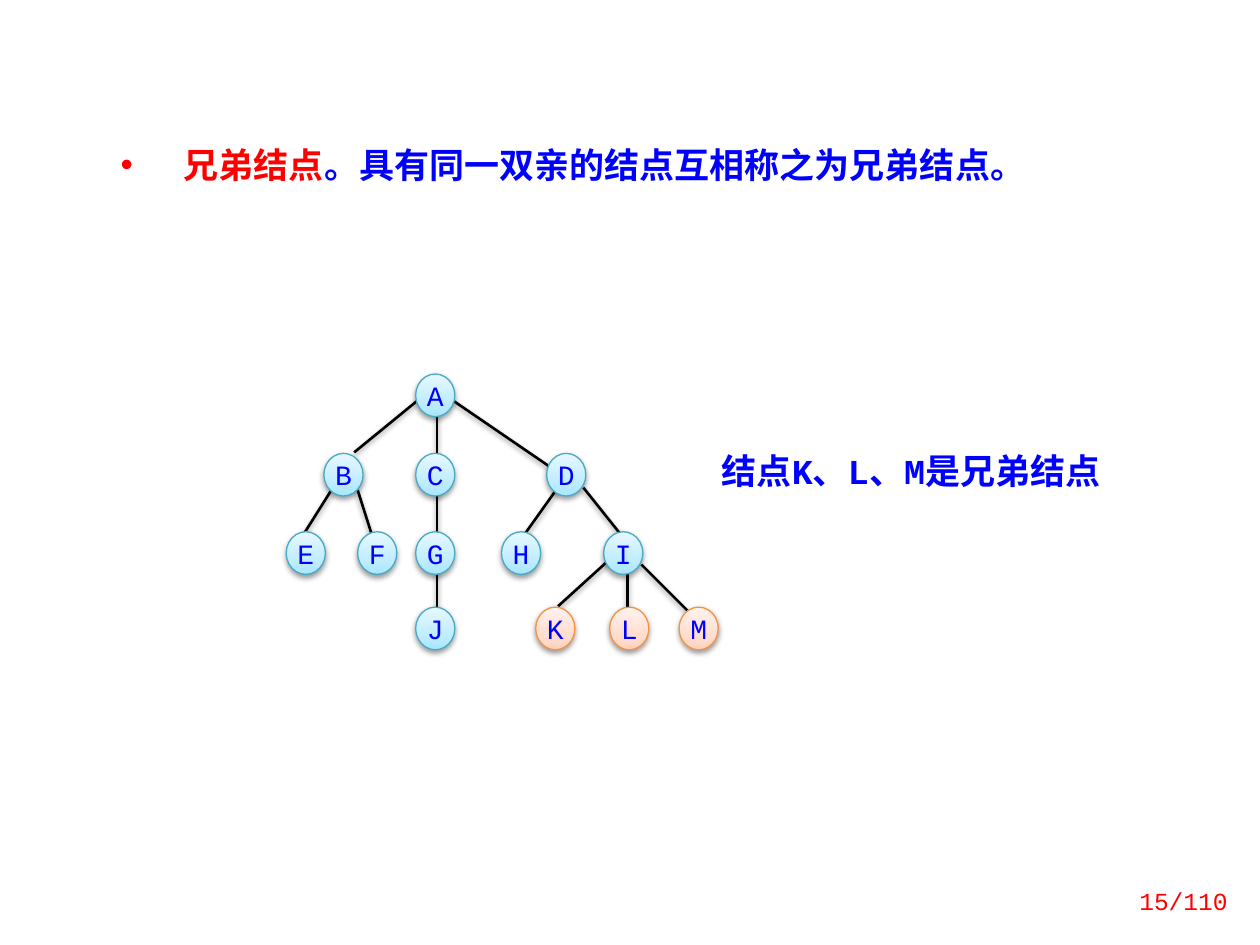
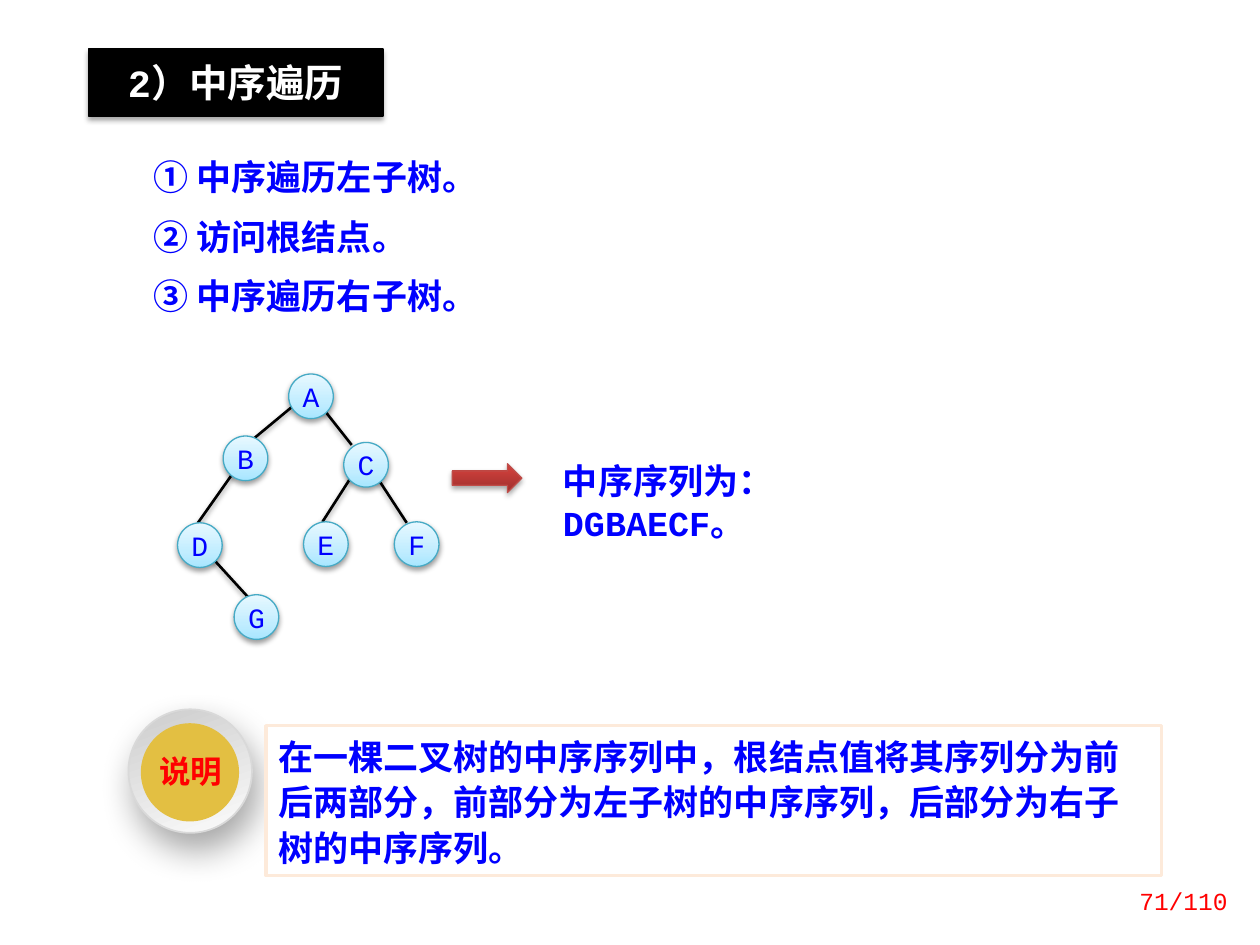
"""Build two slides on trees: sibling nodes and inorder traversal."""
from lxml.etree import SubElement as Sub
from pptx import Presentation
from pptx.dml.color import RGBColor as Rgb
from pptx.enum.shapes import MSO_CONNECTOR as Link, MSO_SHAPE as Kind
from pptx.enum.text import MSO_ANCHOR as Anchor, MSO_AUTO_SIZE as Auto, PP_ALIGN as Align
from pptx.oxml.ns import qn
from pptx.util import Cm, Pt

HUE = {
    "blue": "0000FF", "red": "FF0000", "black": "000000", "white": "FFFFFF",
    "sky": "46AAC5", "peach": "F69240", "brick": "BF4C48",
    "ring": "D9D9D9", "gold": "E3BF42", "cream": "FDEADA",
}
FADE = {
    "sky": ((0, "A7E6FF"), (35, "C1EDFF"), (100, "E7F8FF")),
    "peach": ((0, "FFD2BD"), (35, "FFDED0"), (100, "FFF2ED")),
    "brick": ((0, "9C2F2D"), (80, "CB3E3A"), (100, "CE3B37")),
    "ring": ((0, "CCCCCC"), (100, "FCFCFC")),
}
FONT, HAN = "Courier New", "Noto Sans CJK SC"
SOFT, FIRM, DEEP = (38, 3.1, 1.6, 90), (35, 3.1, 1.8, 90), (34, 20, 10, 70)
TOTAL = 110

TERM = "兄弟结点"
MEANING = "。具有同一双亲的结点互相称之为兄弟结点。"
CLAIM = "结点K、L、M是兄弟结点"
HEAD = "2）中序遍历"
STEPS = ["① 中序遍历左子树。", "② 访问根结点。", "③ 中序遍历右子树。"]
ORDER = "中序序列为：DGBAECF。"
BADGE = "说明"
NOTE = ("在一棵二叉树的中序序列中，根结点值将其序列分为前后两部分，"
        "前部分为左子树的中序序列，后部分为右子树的中序序列。")

KIN = {
    "size": (0.79, 0.86),
    "pitch": Pt(19),
    "marked": "KLM",
    "rows": [
        (7.54, {"A": 8.38}),
        (9.14, {"B": 6.53, "C": 8.38, "D": 11.02}),
        (10.72, {"E": 5.77, "F": 7.21, "G": 8.38, "H": 10.11, "I": 12.17}),
        (12.24, {"J": 8.38, "K": 10.8, "L": 12.29, "M": 13.69}),
    ],
    "edges": [
        (8.41, 8.08, 7.14, 9.12), (8.81, 8.33, 8.81, 12.37), (9.14, 8.08, 11.07, 9.4),
        (6.68, 9.88, 6.12, 10.77), (7.21, 9.88, 7.54, 10.92),
        (11.28, 9.78, 10.54, 10.82), (11.76, 9.83, 12.55, 10.82),
        (12.32, 11.25, 11.25, 12.22), (12.65, 11.56, 12.65, 12.34),
        (12.93, 11.38, 13.87, 12.32),
    ],
}
WALK = {
    "size": (0.9, 0.9),
    "pitch": None,
    "marked": "",
    "rows": [
        (7.54, {"A": 5.82}),
        (8.79, {"B": 4.5}),
        (8.92, {"C": 6.93}),
        (10.52, {"E": 6.12, "F": 7.95}),
        (10.54, {"D": 3.58}),
        (11.99, {"G": 4.72}),
    ],
    "edges": [
        (6.25, 7.9, 4.9, 9.02), (6.53, 8.26, 7.09, 8.97), (4.78, 9.42, 3.99, 10.54),
        (7.09, 9.6, 6.5, 10.52), (7.54, 9.53, 8.2, 10.54), (4.19, 11.15, 5.03, 12.07),
    ],
}


def ink(name):
    return Rgb.from_string(HUE[name])


def shade(shape, cast):
    alpha, blur, dist, turn = cast
    glow = Sub(Sub(shape.element.spPr, qn("a:effectLst")), qn("a:outerShdw"),
               blurRad=str(Pt(blur)), dist=str(Pt(dist)), dir=str(turn * 60000),
               algn="ctr", rotWithShape="0")
    tone = Sub(glow, qn("a:srgbClr"), val=HUE["black"])
    Sub(tone, qn("a:alpha"), val=str(alpha * 1000))


def blend(shape, name, turn=270):
    props = shape.element.spPr
    grad = Sub(props, qn("a:gradFill"), rotWithShape="1")
    stops = Sub(grad, qn("a:gsLst"))
    for pos, tone in FADE[name]:
        Sub(Sub(stops, qn("a:gs"), pos=str(pos * 1000)), qn("a:srgbClr"), val=tone)
    Sub(grad, qn("a:lin"), ang=str(turn * 60000), scaled="0")
    props.find(qn("a:prstGeom")).addnext(grad)


def style(para, size=20, hue="blue", bold=True, align=Align.LEFT, pitch=None):
    para.alignment = align
    para.line_spacing = pitch
    font = para.font
    font.name, font.size, font.bold = FONT, Pt(size), bold
    font.color.rgb = ink(hue)
    Sub(para._p.pPr.find(qn("a:defRPr")), qn("a:ea"), typeface=HAN)


def write(shape, text, anchor=Anchor.TOP, wrap=True, **look):
    frame = shape.text_frame
    frame.text = text
    frame.word_wrap, frame.vertical_anchor = wrap, anchor
    style(frame.paragraphs[0], **look)


def pad(frame, left, top, right, bottom):
    frame.margin_left, frame.margin_top = Cm(left), Cm(top)
    frame.margin_right, frame.margin_bottom = Cm(right), Cm(bottom)


def place(shape, *box):
    shape.left, shape.top, shape.width, shape.height = map(Cm, box)
    shape.text_frame.auto_size = Auto.NONE


def label(slide, text, box, **look):
    write(slide.shapes.add_textbox(*map(Cm, box)), text, **look)


def draw(slide, kind, box, fill=None, line=None, width=0.75, cast=None, turn=270):
    shape = slide.shapes.add_shape(kind, *map(Cm, box))
    if fill in FADE:
        blend(shape, fill, turn)
    else:
        shape.fill.solid()
        shape.fill.fore_color.rgb = ink(fill)
    if line:
        shape.line.color.rgb = ink(line)
        shape.line.width = Pt(width)
    else:
        shape.line.fill.background()
    if cast:
        shade(shape, cast)
    else:
        shape.shadow.inherit = False
    return shape


def grow(slide, tree):
    for edge in tree["edges"]:
        line = slide.shapes.add_connector(Link.STRAIGHT, *map(Cm, edge))
        line.line.color.rgb = ink("black")
        line.line.width = Pt(1.5)
        shade(line, SOFT)
    for top, row in tree["rows"]:
        for name, left in row.items():
            hue = "peach" if name in tree["marked"] else "sky"
            node = draw(slide, Kind.OVAL, (left, top, *tree["size"]), hue, hue, cast=SOFT)
            pad(node.text_frame, 0, 0, 0, 0)
            write(node, name, Anchor.MIDDLE, size=16, bold=False,
                  align=Align.CENTER, pitch=tree["pitch"])


def start(deck, page):
    slide = deck.slides.add_slide(deck.slide_layouts[1])
    label(slide, f"{page}/{TOTAL}", (22.1, 17.65, 2.9, 1.02), anchor=Anchor.MIDDLE,
          size=14, hue="red", bold=False, align=Align.RIGHT)
    return slide, slide.shapes.title, slide.placeholders[1]


def kin(deck):
    slide, title, body = start(deck, 15)
    title.element.getparent().remove(title.element)
    place(body, 2.18, 2.77, 20.45, 1.12)
    para = body.text_frame.paragraphs[0]
    props = para._p.get_or_add_pPr()
    props.set("marL", str(Cm(1.27)))
    props.set("indent", str(-Cm(1.27)))
    Sub(Sub(props, qn("a:buClr")), qn("a:srgbClr"), val=HUE["red"])
    Sub(props, qn("a:buFont"), typeface="Arial")
    Sub(props, qn("a:buChar"), char="•")
    for text, hue in ((TERM, "red"), (MEANING, "blue")):
        run = para.add_run()
        run.text = text
        run.font.color.rgb = ink(hue)
    para.space_before = Pt(0)
    style(para)
    label(slide, CLAIM, (14.3, 8.94, 8.94, 1.12))
    grow(slide, KIN)


def walk(deck):
    slide, title, body = start(deck, 71)
    place(title, 1.78, 0.99, 5.94, 1.35)
    title.fill.solid()
    title.fill.fore_color.rgb = title.line.color.rgb = ink("black")
    title.line.width = Pt(0.75)
    shade(title, FIRM)
    pad(title.text_frame, 0.25, 0.2, 0.25, 0.2)
    write(title, HEAD, Anchor.MIDDLE, size=22, hue="white", align=Align.CENTER)

    place(body, 2.59, 2.84, 7.34, 4.01)
    pad(body.text_frame, 0.51, 0.3, 0.25, 0.3)
    body.text_frame.text = "\n".join(STEPS)
    for rank, para in enumerate(body.text_frame.paragraphs):
        props = para._p.get_or_add_pPr()
        props.set("marL", "0")
        props.set("indent", "0")
        Sub(props, qn("a:buNone"))
        para.space_before = Pt(10 if rank else 0)
        style(para)

    grow(slide, WALK)
    label(slide, ORDER, (11.1, 9.14, 7.95, 1.12))
    draw(slide, Kind.RIGHT_ARROW, (9.12, 9.35, 1.4, 0.58), "brick", "brick", cast=FIRM)
    draw(slide, Kind.OVAL, (2.59, 14.3, 2.49, 2.49), "ring", "ring", 1, DEEP, 70)
    draw(slide, Kind.OVAL, (2.84, 14.58, 1.98, 1.98), "gold")
    label(slide, BADGE, (2.95, 15.19, 1.8, 0.86), wrap=False, size=18, hue="red",
          align=Align.CENTER, pitch=0.8)
    note = draw(slide, Kind.RECTANGLE, (5.36, 14.63, 18.06, 3.02), "white", "cream", 2)
    write(note, NOTE, pitch=Pt(26))


def main():
    deck = Presentation()
    deck.slide_width, deck.slide_height = Cm(25.4), Cm(19.05)
    kin(deck)
    walk(deck)
    deck.save("out.pptx")


if __name__ == "__main__":
    main()
